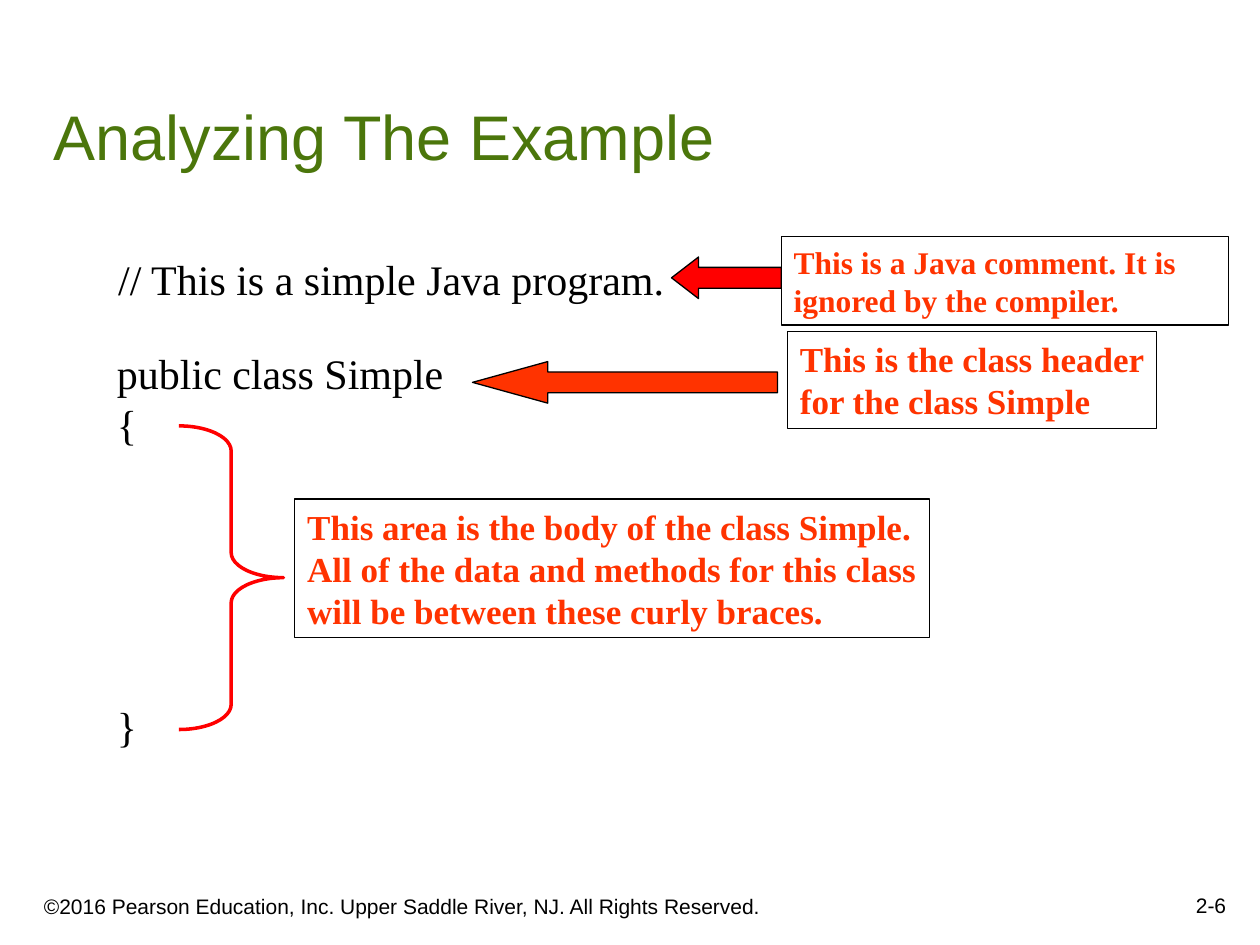
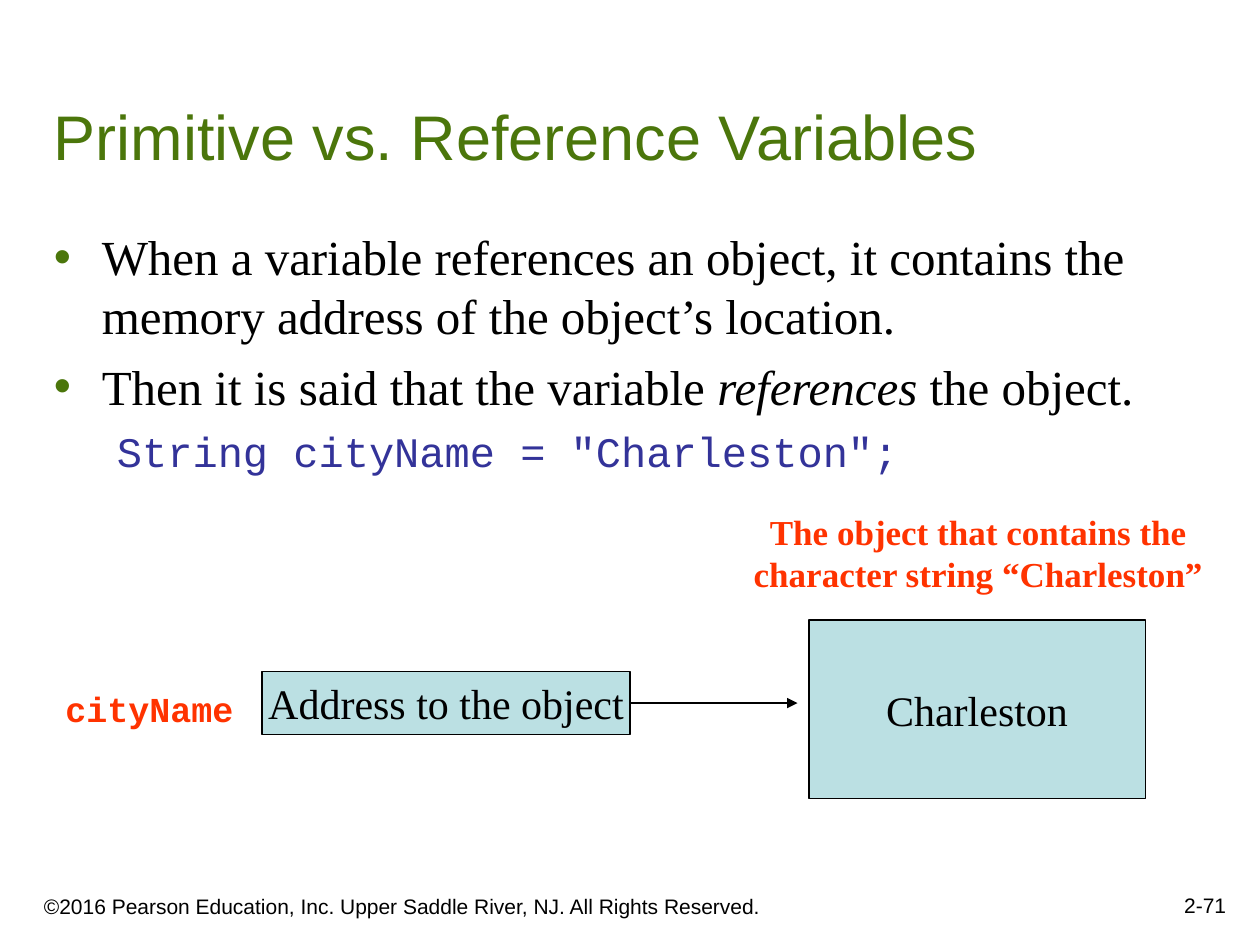
from dataclasses import dataclass
from typing import Optional

from lxml import etree
from pptx import Presentation
from pptx.dml.color import RGBColor
from pptx.enum.shapes import MSO_CONNECTOR, MSO_SHAPE
from pptx.enum.text import MSO_ANCHOR, PP_ALIGN
from pptx.oxml.ns import qn
from pptx.util import Inches, Pt

BLACK = RGBColor(0x00, 0x00, 0x00)
GREEN = RGBColor(0x4B, 0x76, 0x0B)
ORANGE = RGBColor(0xFF, 0x33, 0x00)
RED = RGBColor(0xFF, 0x00, 0x00)
NAVY = RGBColor(0x33, 0x33, 0x99)
PALE_BLUE = RGBColor(0xBB, 0xE0, 0xE3)

SANS, SERIF, MONO = "Arial", "Times New Roman", "Courier New"
COPYRIGHT = "©2016 Pearson Education, Inc. Upper Saddle River, NJ. All Rights Reserved."


@dataclass(frozen=True)
class Style:
    font: str
    size: float
    color: RGBColor = BLACK
    bold: bool = False


TITLE = Style(SANS, 36, GREEN)
FOOTER = Style(SANS, 12)
PLAIN = Style(SERIF, 24)
BULLET = Style(SERIF, 28)
CODE = Style(MONO, 24, NAVY)
NOTE = Style(SERIF, 20, ORANGE, True)
SMALL_NOTE = Style(SERIF, 18, ORANGE, True)
VARIABLE = Style(MONO, 20, ORANGE, True)


@dataclass(frozen=True)
class Box:
    text: str
    left: float
    top: float
    width: float
    height: float
    style: Style
    align: PP_ALIGN = PP_ALIGN.LEFT
    anchor: MSO_ANCHOR = MSO_ANCHOR.TOP
    wrap: bool = False
    outlined: bool = False
    fill: Optional[RGBColor] = None


@dataclass(frozen=True)
class Arrow:
    left: float
    top: float
    width: float
    color: RGBColor
    head: float


def format_runs(p, style: Style) -> None:
    for r in p.runs:
        r.font.name = style.font
        r.font.size = Pt(style.size)
        r.font.bold = style.bold
        r.font.color.rgb = style.color


def set_line(sp, color: RGBColor, width: float) -> None:
    sp.line.color.rgb = color
    sp.line.width = Pt(width)


def add_box(s, box: Box):
    """Draw a text box, or a rectangle when it is outlined."""
    frame = [Inches(v) for v in (box.left, box.top, box.width, box.height)]
    if box.outlined:
        sp = s.shapes.add_shape(MSO_SHAPE.RECTANGLE, *frame)
        sp.shadow.inherit = False
        set_line(sp, BLACK, 0.75)
        if box.fill is None:
            sp.fill.background()
        else:
            sp.fill.solid()
            sp.fill.fore_color.rgb = box.fill
    else:
        sp = s.shapes.add_textbox(*frame)
    tf = sp.text_frame
    tf.word_wrap = box.wrap
    tf.vertical_anchor = box.anchor
    tf.text = box.text
    for p in tf.paragraphs:
        p.alignment = box.align
        format_runs(p, box.style)
    return sp


def add_arrow(s, arrow: Arrow) -> None:
    sp = s.shapes.add_shape(MSO_SHAPE.LEFT_ARROW, Inches(arrow.left), Inches(arrow.top),
                            Inches(arrow.width), Inches(0.33))
    sp.shadow.inherit = False
    sp.adjustments[0] = 0.5
    sp.adjustments[1] = arrow.head
    sp.fill.solid()
    sp.fill.fore_color.rgb = arrow.color
    set_line(sp, BLACK, 0.75)


def set_indent(p, margin: float, first: float, bullet: bool = False) -> None:
    pPr = p._p.get_or_add_pPr()
    pPr.set("marL", str(Inches(margin)))
    pPr.set("indent", str(Inches(first)))
    if bullet:
        color = etree.SubElement(pPr, qn("a:buClr"))
        etree.SubElement(color, qn("a:srgbClr"), val=str(GREEN))
        etree.SubElement(pPr, qn("a:buFont"), typeface=SANS)
        etree.SubElement(pPr, qn("a:buChar"), char="•")


def new_slide(prs, title: str, number: str):
    """Add a slide with the shared title and footer."""
    s = prs.slides.add_slide(prs.slide_layouts[6])
    add_box(s, Box(COPYRIGHT, 0.25, 6.92, 6.08, 0.42, FOOTER,
                   anchor=MSO_ANCHOR.BOTTOM, wrap=True))
    add_box(s, Box(number, 7.75, 6.83, 2.08, 0.5, FOOTER, PP_ALIGN.RIGHT,
                   MSO_ANCHOR.BOTTOM, wrap=True))
    add_box(s, Box(title, 0.33, 0.33, 9.42, 1.09, TITLE,
                   anchor=MSO_ANCHOR.BOTTOM, wrap=True))
    return s


def build_example(prs) -> None:
    s = new_slide(prs, "Analyzing The Example", "2-6")

    # Program text, with room for the class body between the braces
    add_box(s, Box("// This is a simple Java program.", 0.84, 1.96, 4.54, 0.5, PLAIN))
    program = add_box(s, Box("public class Simple\n{\n}", 0.83, 2.71, 3.25, 3.3,
                             PLAIN, wrap=True))
    program.text_frame.paragraphs[-1].space_before = Pt(144)

    # Brace around the class body
    brace = s.shapes.add_shape(MSO_SHAPE.RIGHT_BRACE, Inches(1.42), Inches(3.38),
                               Inches(0.83), Inches(2.41))
    brace.shadow.inherit = False
    brace.adjustments[0] = 0.24
    brace.fill.background()
    set_line(brace, RED, 2)

    # Explanations and their arrows
    for note in (
        Box("This area is the body of the class Simple.\n"
            "All of the data and methods for this class\n"
            "will be between these curly braces.",
            2.34, 3.96, 5.04, 1.1, NOTE, outlined=True),
        Box("This is a Java comment. It is ignored by the compiler.",
            6.2, 1.88, 3.55, 0.7, SMALL_NOTE, wrap=True, outlined=True),
        Box("This is the class header\nfor the class Simple",
            6.25, 2.63, 2.93, 0.77, NOTE, outlined=True),
    ):
        add_box(s, note)
    add_arrow(s, Arrow(5.33, 2.04, 0.87, RED, 0.65))
    add_arrow(s, Arrow(3.75, 2.87, 2.42, ORANGE, 1.81))


def build_references(prs) -> None:
    s = new_slide(prs, "Primitive vs. Reference Variables", "2-71")

    # Bullets and the code line
    body = s.shapes.add_textbox(Inches(0.33), Inches(1.75), Inches(9.07), Inches(2.58))
    tf = body.text_frame
    tf.word_wrap = True
    tf.margin_right = 0
    tf.text = ("When a variable references an object, it contains the memory address "
               "of the object’s location.\n\nString cityName = \"Charleston\";")
    first, second, code = tf.paragraphs
    for text in ("Then it is said that the variable ", "references", " the object."):
        r = second.add_run()
        r.text = text
        r.font.italic = text == "references"
    for p in (first, second):
        set_indent(p, 0.38, -0.38, bullet=True)
        format_runs(p, BULLET)
    set_indent(code, 0.81, -0.31)
    format_runs(code, CODE)
    second.space_before = Pt(7)
    code.space_before = Pt(6)

    # Variable, its reference and the object
    add_box(s, Box("cityName", 0.42, 5.41, 1.6, 0.44, VARIABLE))
    add_box(s, Box("The object that contains the\ncharacter string “Charleston”",
                   5.88, 4, 3.77, 0.77, NOTE, PP_ALIGN.CENTER))
    cell = {"style": PLAIN, "align": PP_ALIGN.CENTER, "anchor": MSO_ANCHOR.MIDDLE,
            "outlined": True, "fill": PALE_BLUE}
    add_box(s, Box("Charleston", 6.42, 4.92, 2.67, 1.42, **cell))
    address = add_box(s, Box("Address to the object", 2.08, 5.33, 2.92, 0.5, **cell))

    pointer = s.shapes.add_connector(MSO_CONNECTOR.STRAIGHT, Inches(5), Inches(5.58),
                                     Inches(6.33), Inches(5.58))
    pointer.begin_connect(address, 3)
    set_line(pointer, BLACK, 0.75)
    etree.SubElement(pointer.line._get_or_add_ln(), qn("a:tailEnd"), type="triangle")
    etree.SubElement(pointer._element.spPr, qn("a:effectLst"))


def main() -> None:
    prs = Presentation()
    prs.slide_width = Inches(10)
    prs.slide_height = Inches(7.5)
    build_example(prs)
    build_references(prs)
    prs.save("out.pptx")


if __name__ == "__main__":
    main()
